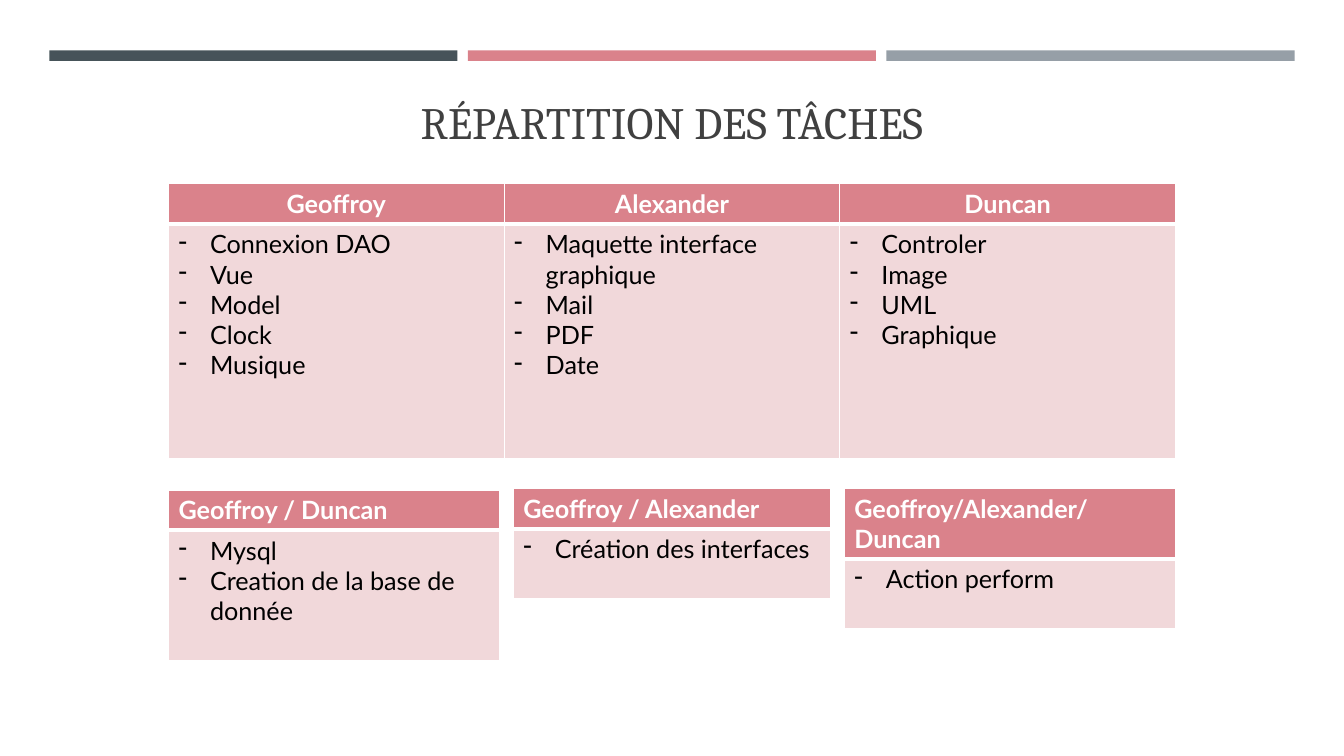
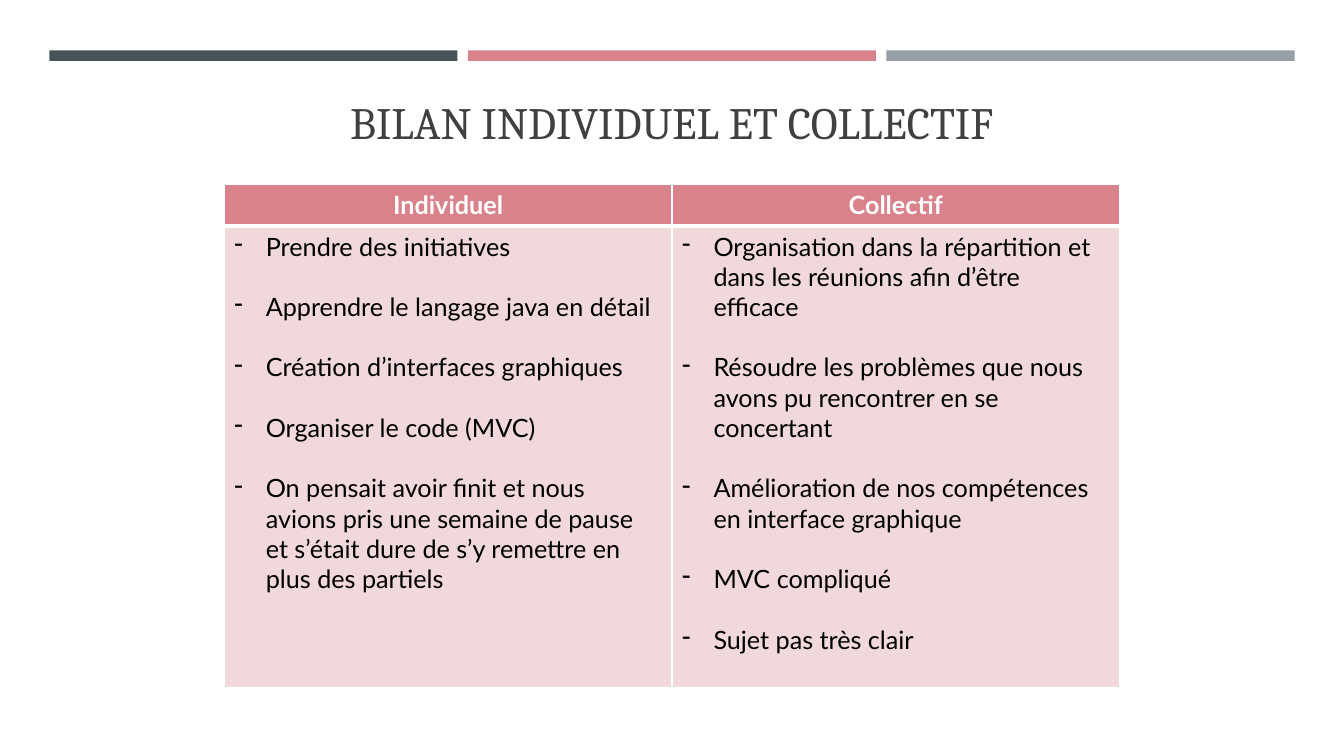
from pptx import Presentation
from pptx.dml.color import RGBColor
from pptx.enum import shapes, text
from pptx.oxml import parse_xml
from pptx.oxml import ns
from pptx.util import Pt

WHITE = RGBColor(0xFF, 0xFF, 0xFF)
BLACK = RGBColor(0x00, 0x00, 0x00)
SLATE = RGBColor(0x46, 0x53, 0x59)
ROSE = RGBColor(0xDA, 0x82, 0x8B)
GREY = RGBColor(0x96, 0x9F, 0xA7)
PALE_ROSE = RGBColor(0xF1, 0xD8, 0xDA)
TITLE_GREY = RGBColor(0x40, 0x40, 0x40)
TITLE_FONT, BODY_FONT = "Cambria", "Lato"
LINE_HEIGHT = 21.6
LEFT = text.PP_ALIGN.LEFT
CENTER = text.PP_ALIGN.CENTER


def style_font(font, name, size, color, bold=False):
    """Apply a typeface, size, colour and weight."""
    font.name = name
    font.size = Pt(size)
    font.color.rgb = color
    font.bold = bold


def add_bands(slide):
    """Draw the three coloured bands across the top."""
    for index, color in enumerate((SLATE, ROSE, GREY)):
        band = slide.shapes.add_shape(
            shapes.MSO_SHAPE.RECTANGLE,
            Pt(35.2 + 299 * index), Pt(36), Pt(291.5), Pt(7.5))
        band.shadow.inherit = False
        band.fill.solid()
        band.fill.fore_color.rgb = color
        band.line.fill.background()


def add_title(slide, title):
    """Write the centred slide title."""
    frame = slide.shapes.add_textbox(Pt(46), Pt(54), Pt(868), Pt(55.5)).text_frame
    frame.word_wrap = True
    frame.vertical_anchor = text.MSO_ANCHOR.BOTTOM
    paragraph = frame.paragraphs[0]
    paragraph.text = title
    paragraph.alignment = CENTER
    style_font(paragraph.font, TITLE_FONT, 32, TITLE_GREY)


def add_slide(presentation, title):
    """Add a blank slide with bands and title."""
    slide = presentation.slides.add_slide(presentation.slide_layouts[6])
    add_bands(slide)
    add_title(slide, title)
    return slide


def style_cell(cell, color, top, bottom):
    """Give a cell white borders and a solid fill."""
    properties = cell._tc.get_or_add_tcPr()
    for side, width in (("L", 1), ("R", 1), ("T", top), ("B", bottom)):
        properties.append(parse_xml(
            f'<a:ln{side} {ns.nsdecls("a")} w="{Pt(width)}"><a:solidFill>'
            f'<a:srgbClr val="{WHITE}"/></a:solidFill></a:ln{side}>'))
    cell.fill.solid()
    cell.fill.fore_color.rgb = color


def fill_header(cell, heading, alignment):
    """Write a bold column heading."""
    style_cell(cell, ROSE, 1, 3)
    paragraph = cell.text_frame.paragraphs[0]
    paragraph.text = heading
    paragraph.alignment = alignment
    style_font(paragraph.font, BODY_FONT, 18, WHITE, True)


def fill_list(cell, items, gap):
    """Write dashed items, separated by the given gap."""
    style_cell(cell, PALE_ROSE, 3, 1)
    frame = cell.text_frame
    for index, item in enumerate(items):
        paragraph = frame.add_paragraph() if index else frame.paragraphs[0]
        paragraph.text = item
        properties = paragraph._p.get_or_add_pPr()
        properties.set("marL", str(Pt(22.5)))
        properties.set("indent", str(Pt(-22.5)))
        properties.append(parse_xml(f'<a:buChar {ns.nsdecls("a")} char="-"/>'))
        if index and gap:
            paragraph.space_before = Pt(gap)
        style_font(paragraph.font, BODY_FONT, 18, BLACK)


def add_list_table(slide, left, top, width, heights, columns, alignment=LEFT, gap=0):
    """Add a table with one heading and one list per column."""
    table = slide.shapes.add_table(
        2, len(columns), Pt(left), Pt(top), Pt(width), Pt(sum(heights))).table
    table.first_row = table.horz_banding = False
    for row, height in zip(table.rows, heights):
        row.height = Pt(height)
    for index, (heading, items) in enumerate(columns.items()):
        table.columns[index].width = Pt(width / len(columns))
        fill_header(table.cell(0, index), heading, alignment)
        fill_list(table.cell(1, index), items, gap)


def add_tasks_slide(presentation):
    """Show the tasks of each member and of each group."""
    slide = add_slide(presentation, "RÉPARTITION DES TÂCHES")
    add_list_table(slide, 120.3, 131.2, 719.4, (28.5, 167.5), {
        "Geoffroy": ["Connexion DAO", "Vue", "Model", "Clock", "Musique"],
        "Alexander": ["Maquette interface graphique", "Mail", "PDF", "Date"],
        "Duncan": ["Controler", "Image", "UML", "Graphique"],
    }, CENTER)
    groups = (
        (350, 236.7, (28.5, 93), "Geoffroy / Duncan",
         ["Mysql", "Creation de la base de donnée"]),
        (348.8, 226.8, (28.5, 50), "Geoffroy / Alexander",
         ["Création des interfaces"]),
        (348.8, 236.7, (50.4, 50), "Geoffroy/Alexander/ Duncan",
         ["Action perform"]),
    )
    left = 120.3
    for top, width, heights, heading, items in groups:
        add_list_table(slide, left, top, width, heights, {heading: items})
        left += width + 9.6


def add_review_slide(presentation):
    """Show the individual and collective review."""
    slide = add_slide(presentation, "BILAN INDIVIDUEL ET COLLECTIF")
    add_list_table(slide, 160.2, 132, 639.6, (29.5, 330), {
        "Individuel": [
            "Prendre des initiatives",
            "Apprendre le langage java en détail",
            "Création d’interfaces graphiques",
            "Organiser le code (MVC)",
            "On pensait avoir finit et nous avions pris une semaine de pause "
            "et s’était dure de s’y remettre en plus des partiels",
        ],
        "Collectif": [
            "Organisation dans la répartition et dans les réunions afin d’être efficace",
            "Résoudre les problèmes que nous avons pu rencontrer en se concertant",
            "Amélioration de nos compétences en interface graphique",
            "MVC compliqué",
            "Sujet pas très clair",
        ],
    }, CENTER, LINE_HEIGHT)


def main():
    """Build and save the presentation."""
    presentation = Presentation()
    presentation.slide_width = Pt(960)
    presentation.slide_height = Pt(540)
    add_tasks_slide(presentation)
    add_review_slide(presentation)
    presentation.save("out.pptx")


if __name__ == "__main__":
    main()
